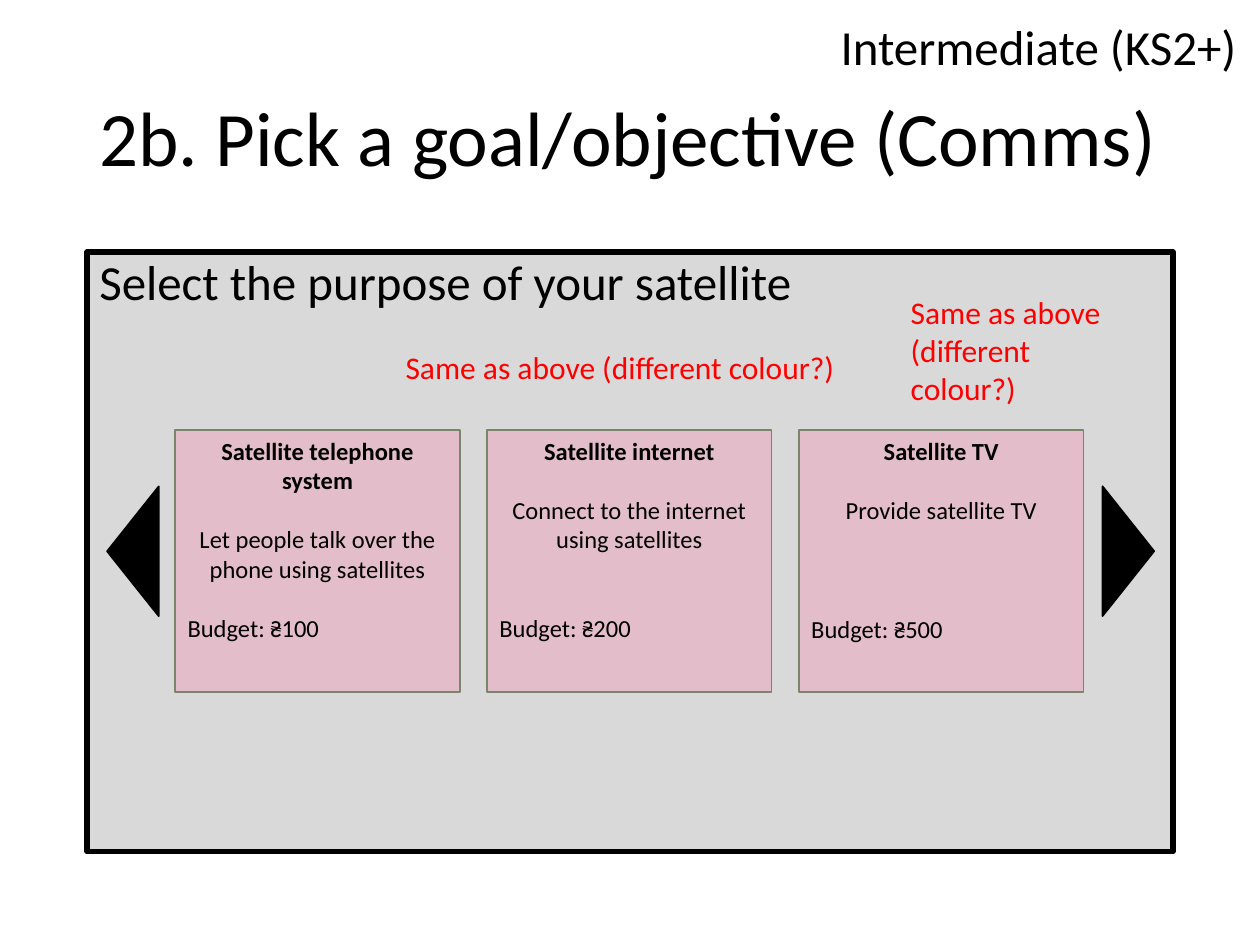
"""Build the slide on picking a communications goal for a satellite."""
from dataclasses import dataclass

import pptx
import pptx.dml.color
import pptx.enum.shapes
import pptx.enum.text
import pptx.util

Inches = pptx.util.Inches
Pt = pptx.util.Pt
Align = pptx.enum.text.PP_ALIGN
Anchor = pptx.enum.text.MSO_ANCHOR
Shape = pptx.enum.shapes.MSO_SHAPE


@dataclass(frozen=True)
class Theme:
    font: str = "Calibri"
    ink: str = "000000"
    note: str = "FF0000"
    panel: str = "D9D9D9"
    card: str = "E3BECA"
    card_line: str = "7A866C"
    title_size: int = 44
    heading_size: int = 28
    note_size: int = 18
    card_size: int = 14
    card_leading: int = 17


class SlideBuilder:
    def __init__(self, slide, theme):
        self.slide = slide
        self.theme = theme

    def rgb(self, value):
        return pptx.dml.color.RGBColor.from_string(value)

    def frame(self, sp, anchor=Anchor.TOP):
        tf = sp.text_frame
        tf.word_wrap = True
        tf.vertical_anchor = anchor
        return tf

    def add_run(self, p, text, size, color=None, bold=False, align=Align.LEFT):
        p.alignment = align
        r = p.add_run()
        r.text = text
        r.font.name = self.theme.font
        r.font.size = Pt(size)
        r.font.bold = bold
        r.font.color.rgb = self.rgb(color or self.theme.ink)

    def text(self, box, text, size, color=None, align=Align.LEFT,
             anchor=Anchor.TOP, spacing=1.0):
        sp = self.slide.shapes.add_textbox(*map(Inches, box))
        p = self.frame(sp, anchor).paragraphs[0]
        p.line_spacing = spacing
        self.add_run(p, text, size, color, align=align)

    def shape(self, kind, box, fill, line, width=1):
        sp = self.slide.shapes.add_shape(kind, *map(Inches, box))
        sp.shadow.inherit = False
        sp.fill.solid()
        sp.fill.fore_color.rgb = self.rgb(fill)
        sp.line.color.rgb = self.rgb(line)
        sp.line.width = Pt(width)
        return sp

    def panel(self, box, heading):
        t = self.theme
        sp = self.shape(Shape.RECTANGLE, box, t.panel, t.ink, 3)
        p = self.frame(sp).paragraphs[0]
        p.line_spacing = 0.9
        self.add_run(p, heading, t.heading_size)

    def card(self, box, name, purpose, budget, budget_gap):
        t = self.theme
        sp = self.shape(Shape.RECTANGLE, box, t.card, t.card_line)
        tf = self.frame(sp)
        self.add_run(tf.paragraphs[0], name, t.card_size, bold=True, align=Align.CENTER)
        rows = ((purpose, 1, Align.CENTER), (f"Budget: ₴{budget}", budget_gap, Align.LEFT))
        for text, gap, align in rows:
            p = tf.add_paragraph()
            p.space_before = Pt(gap * t.card_leading)
            self.add_run(p, text, t.card_size, align=align)

    def arrow(self, left, rotation):
        sp = self.shape(Shape.ISOSCELES_TRIANGLE, (left, 4.17, 1.03, 0.41),
                        self.theme.ink, self.theme.ink)
        sp.rotation = rotation


def main():
    prs = pptx.Presentation()
    prs.slide_width, prs.slide_height = Inches(10), Inches(7.5)
    t = Theme()
    s = SlideBuilder(prs.slides.add_slide(prs.slide_layouts[6]), t)

    s.text((6.49, 0.08, 3.42, 0.57), "Intermediate (KS2+)", t.heading_size,
           align=Align.RIGHT)
    s.text((0.69, 0.4, 8.62, 1.45), "2b. Pick a goal/objective (Comms)",
           t.title_size, anchor=Anchor.MIDDLE, spacing=0.9)
    s.panel((0.69, 2, 8.62, 4.76), "Select the purpose of your satellite")

    cards = (
        ("Satellite telephone system", "Let people talk over the phone using satellites", 100, 1),
        ("Satellite internet", "Connect to the internet using satellites", 200, 2),
        ("Satellite TV", "Provide satellite TV", 500, 3),
    )
    pitch = (6.34 - 1.39) / 2
    for i, card in enumerate(cards):
        s.card((1.39 + i * pitch, 3.41, 2.26, 2.08), *card)

    for left, rotation in ((8.44, 90), (0.54, 270)):
        s.arrow(left, rotation)
    for box in ((3.12, 2.71, 4.79, 0.4), (7.13, 2.28, 1.83, 1.01)):
        s.text(box, "Same as above (different colour?)", t.note_size, t.note)

    prs.save("out.pptx")


if __name__ == "__main__":
    main()
